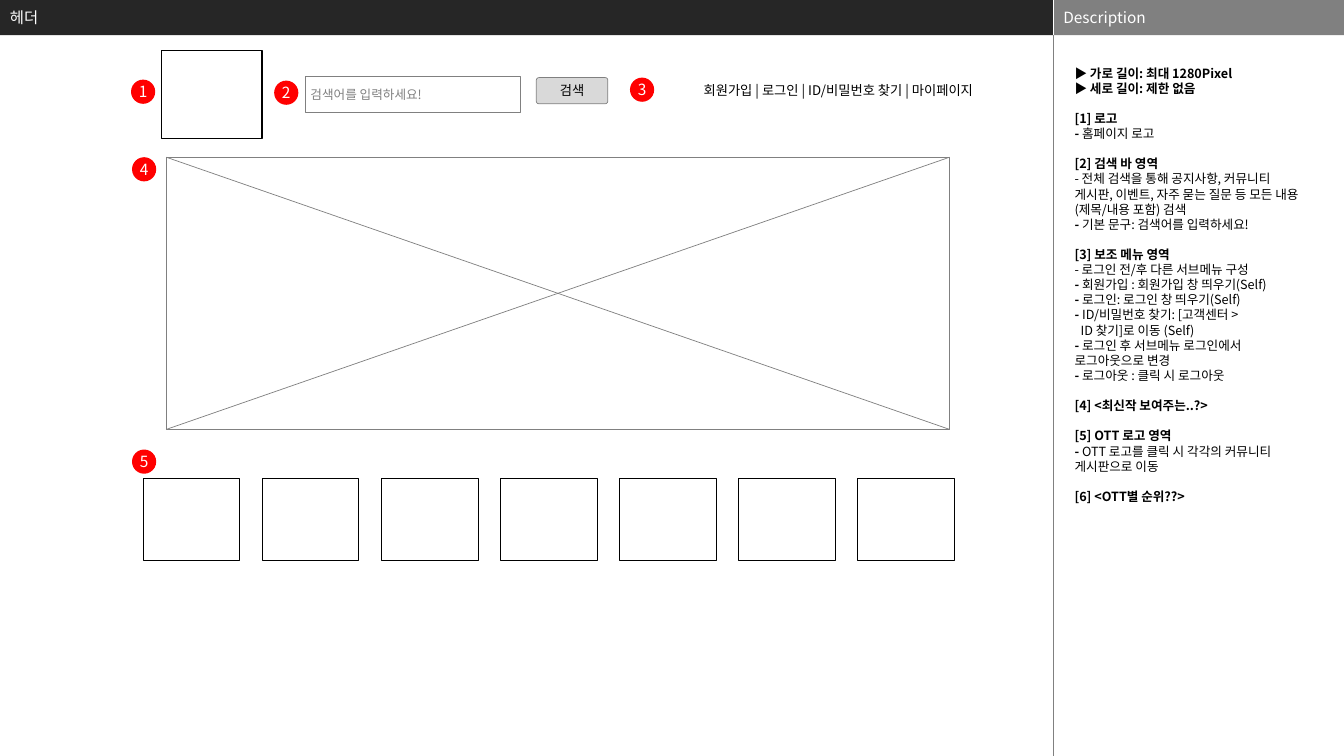
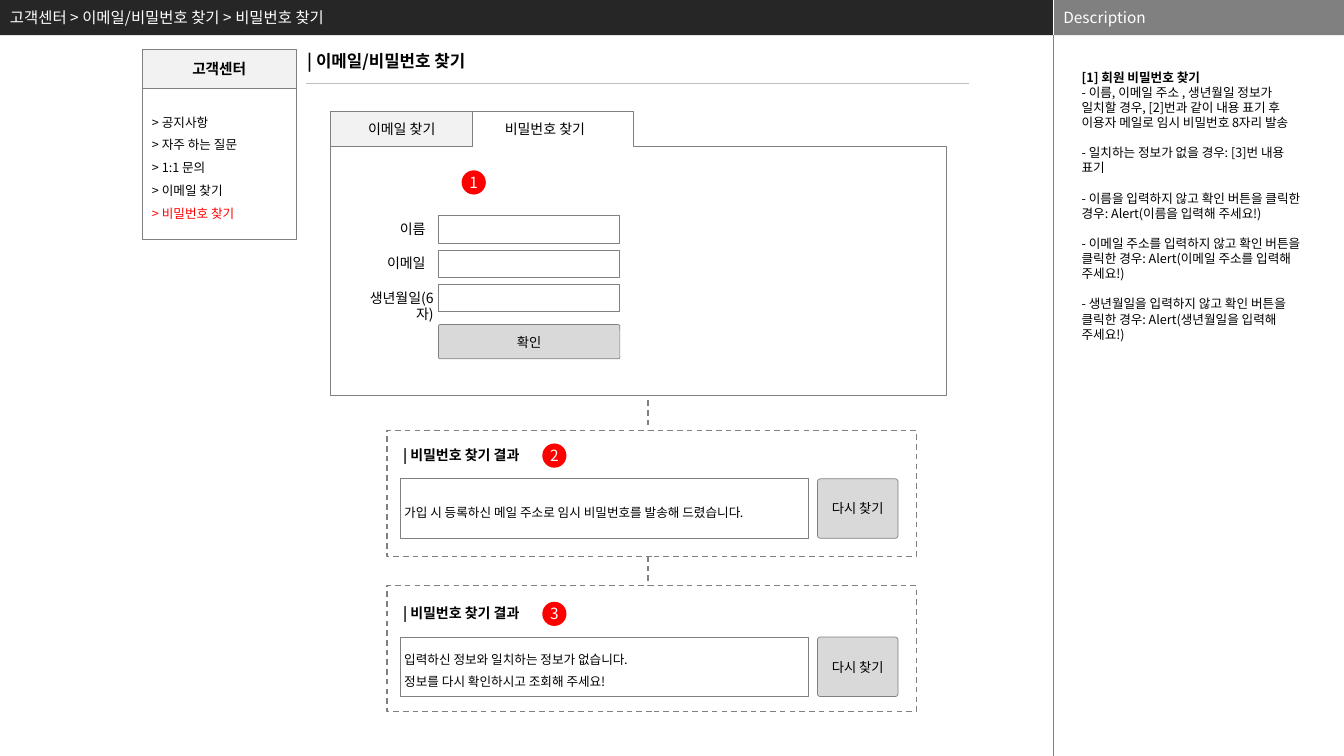
from lxml import etree
from pptx import Presentation
from pptx.dml.color import RGBColor
from pptx.enum.dml import MSO_LINE
from pptx.enum.shapes import MSO_CONNECTOR, MSO_SHAPE
from pptx.enum.text import MSO_ANCHOR, PP_ALIGN
from pptx.oxml.ns import qn
from pptx.util import Inches, Pt

RECTANGLE = MSO_SHAPE.RECTANGLE
ROUNDED = MSO_SHAPE.ROUNDED_RECTANGLE
OVAL = MSO_SHAPE.OVAL
STRAIGHT = MSO_CONNECTOR.STRAIGHT
DASH = MSO_LINE.DASH
LEFT, CENTER, RIGHT = PP_ALIGN.LEFT, PP_ALIGN.CENTER, PP_ALIGN.RIGHT
TOP, MIDDLE = MSO_ANCHOR.TOP, MSO_ANCHOR.MIDDLE

WHITE = RGBColor(0xFF, 0xFF, 0xFF)
BLACK = RGBColor(0, 0, 0)
RED = RGBColor(0xFF, 0, 0)
DARK = RGBColor(0x26, 0x26, 0x26)
GRAY = RGBColor(0x80, 0x80, 0x80)
RULE_GRAY = RGBColor(0xBF, 0xBF, 0xBF)
BUTTON_GRAY = RGBColor(0xD9, 0xD9, 0xD9)
TAB_GRAY = RGBColor(0xF2, 0xF2, 0xF2)

FONT = "Noto Sans CJK KR"
LINE_HEIGHT = 1.2

# The slide is a grid of square cells; every position and length counts cells.
CELL = Inches(0.1)
COLUMNS, ROWS = 133.33, 75
BAND_ROWS = 3.5
MAIN_COLUMNS = 104.5
SIDE_COLUMNS = COLUMNS - MAIN_COLUMNS
BADGE = 2.4


def cells(*counts):
    return [round(count * CELL) for count in counts]


def set_values(target, values):
    for name, value in values.items():
        setattr(target, name, value)


def write(shape, paragraphs, size=9, color=BLACK, bold=False, align=LEFT,
          anchor=MIDDLE, spacing=1, insets=(1, 0.5)):
    """Fill a shape with paragraphs: strings, or dicts of runs and layout."""
    frame = shape.text_frame
    side, end = cells(*insets)
    set_values(frame, {"word_wrap": True, "vertical_anchor": anchor,
                       "margin_left": side, "margin_right": side,
                       "margin_top": end, "margin_bottom": end})
    for index, content in enumerate(paragraphs):
        if isinstance(content, str):
            content = {"runs": [(content, {})]}
        para = frame.add_paragraph() if index else frame.paragraphs[0]
        line = Pt(size * LINE_HEIGHT * spacing)
        set_values(para, {"alignment": align, "line_spacing": line})
        if content.get("gap"):
            para.space_before = line
        if "indent" in content:
            para._p.get_or_add_pPr().set("marL", str(cells(content["indent"])[0]))
        for text, changes in content["runs"]:
            span = para.add_run()
            span.text = text
            look = {"size": Pt(size), "bold": bold, "name": FONT, **changes}
            tint = look.pop("color", color)
            set_values(span.font, look)
            span.font.color.rgb = tint
            east_asian = etree.SubElement(span._r.get_or_add_rPr(), qn("a:ea"))
            east_asian.set("typeface", FONT)


def paint(shape, fill=None, line=GRAY, width=0.5, dash=None):
    shape.shadow.inherit = False
    if fill is None:
        shape.fill.background()
    else:
        shape.fill.solid()
        shape.fill.fore_color.rgb = fill
    if line is None:
        shape.line.fill.background()
    else:
        shape.line.color.rgb = line
        set_values(shape.line, {"width": Pt(width), "dash_style": dash})


def add_box(page, at, fill=None, line=GRAY, width=0.5, kind=RECTANGLE,
            roundness=None, dash=None):
    box = page.shapes.add_shape(kind, *cells(*at))
    if roundness is not None:
        box.adjustments[0] = roundness
    paint(box, fill, line, width, dash)
    return box


def add_outline(page, points, fill):
    start, *others = [tuple(cells(*point)) for point in points]
    builder = page.shapes.build_freeform(*start)
    builder.add_line_segments(others, close=True)
    paint(builder.convert_to_shape(), fill)


def add_line(page, start, end, color=GRAY, width=0.5, dash=None):
    line = page.shapes.add_connector(STRAIGHT, *cells(*start, *end))
    line.line.color.rgb = color
    set_values(line.line, {"width": Pt(width), "dash_style": dash})
    etree.SubElement(line._element.spPr, qn("a:effectLst"))


def add_text(page, at, paragraphs, **look):
    write(page.shapes.add_textbox(*cells(*at)), paragraphs, **look)


def add_badge(page, left, top, number):
    badge = add_box(page, (left, top, BADGE, BADGE), RED, None, kind=OVAL)
    write(badge, [str(number)], size=11, color=WHITE, align=CENTER, insets=(0, 0))


def add_button(page, at, label, roundness=0.05):
    button = add_box(page, at, BUTTON_GRAY, kind=ROUNDED, roundness=roundness)
    write(button, [label], size=9.5, align=CENTER, insets=(0.5, 0.5))


def add_crossed_area(page, left, top, columns, rows):
    """Placeholder for an image: a rectangle with both diagonals."""
    right, bottom = left + columns, top + rows
    add_box(page, (left, top, columns, rows), WHITE)
    add_line(page, (left, bottom), (right, top))
    add_line(page, (left, top), (right, bottom))


def heading(text, gap=True):
    return {"runs": [(text, {"bold": True})], "gap": gap}


def item(text, bold_dash=True, gap=False):
    return {"runs": [("- ", {"bold": bold_dash}), (text, {})], "gap": gap}


def add_page(deck, title, description, left, top):
    """Blank slide with both bands, the side rule and the description."""
    page = deck.slides.add_slide(deck.slide_layouts[6])
    bands = [(0, MAIN_COLUMNS, DARK, title),
             (MAIN_COLUMNS, SIDE_COLUMNS, GRAY, "Description")]
    for start, columns, fill, label in bands:
        band = add_box(page, (start, 0, columns, BAND_ROWS), fill, None)
        write(band, [label], size=11, color=WHITE)
    for start, end, color in [(0, BAND_ROWS, WHITE), (BAND_ROWS, ROWS, GRAY)]:
        add_line(page, (MAIN_COLUMNS, start), (MAIN_COLUMNS, end), color, 0.25)
    add_text(page, (left, top, 23.4, 66), description, anchor=TOP, insets=(0.4, 0))
    return page


def build_header_page(deck):
    description = [
        heading("▶ 가로 길이: 최대 1280Pixel", gap=False),
        heading("▶ 세로 길이: 제한 없음", gap=False),
        heading("[1] 로고"),
        item("홈페이지 로고"),
        heading("[2] 검색 바 영역"),
        item("전체 검색을 통해 공지사항, 커뮤니티 게시판, 이벤트, "
             "자주 묻는 질문 등 모든 내용(제목/내용 포함) 검색", bold_dash=False),
        item("기본 문구: 검색어를 입력하세요!"),
        heading("[3] 보조 메뉴 영역"),
        item("로그인 전/후 다른 서브메뉴 구성", bold_dash=False),
        item("회원가입 : 회원가입 창 띄우기(Self)"),
        item("로그인: 로그인 창 띄우기(Self)"),
        item("ID/비밀번호 찾기: [고객센터 >"),
        {"runs": [("ID 찾기]로 이동 (Self)", {})], "indent": 0.6},
        item("로그인 후 서브메뉴 로그인에서 로그아웃으로 변경"),
        item("로그아웃 : 클릭 시 로그아웃"),
        heading("[4] <최신작 보여주는..?>"),
        heading("[5] OTT 로고 영역"),
        item("OTT 로고를 클릭 시 각각의 커뮤니티 게시판으로 이동"),
        heading("[6] <OTT별 순위??>"),
    ]
    page = add_page(deck, "헤더", description, 106.2, 6.5)

    add_box(page, (16, 5, 10, 8.7), WHITE, BLACK, 0.75)
    search = add_box(page, (30.3, 7.6, 21.3, 3.6))
    write(search, ["검색어를 입력하세요!"], color=GRAY, insets=(0.5, 0.5))
    add_button(page, (53.2, 7.7, 7.1, 2.6), "검색", roundness=0.1)
    add_text(page, (64, 6.9, 33.5, 3.1),
             ["회원가입 | 로그인 | ID/비밀번호 찾기 | 마이페이지"],
             size=9.5, align=RIGHT, anchor=TOP, spacing=1.5)
    add_crossed_area(page, 16.5, 15.6, 77.7, 27)

    logo_count, first_left, last_left = 7, 14.2, 85.1
    step = (last_left - first_left) / (logo_count - 1)
    for index in range(logo_count):
        add_box(page, (first_left + index * step, 47.5, 9.6, 8.1),
                WHITE, BLACK, 0.75)

    badges = [(13, 7.9), (27.2, 8), (62.5, 7.7), (13.1, 15.6), (13.1, 44.6)]
    for number, (left, top) in enumerate(badges, 1):
        add_badge(page, left, top, number)


def add_side_menu(page, title, entries, current):
    left, columns = 14.1, 15.3
    menu = add_box(page, (left, 8.8, columns, 14.9))
    write(menu, [{"runs": [(f"> {entry}", {"color": RED if entry == current else BLACK})]}
                 for entry in entries], spacing=1.5)
    top_box = add_box(page, (left, 4.9, columns, 3.9), TAB_GRAY)
    write(top_box, [title], size=10.5, bold=True, align=CENTER)


def add_search_form(page):
    left, tab_right, right = 32.8, 62.8, 93.9
    top, tab_bottom, bottom = 11, 14.5, 39.2
    add_outline(page, [(left, top), (tab_right, top), (tab_right, tab_bottom),
                       (right, tab_bottom), (right, bottom), (left, bottom)], WHITE)
    tab = add_box(page, (left, 11.1, 14.1, 3.4), TAB_GRAY)
    write(tab, ["이메일 찾기"], size=10, align=CENTER)
    add_text(page, (47, 11.1, 14.1, 3.4), ["비밀번호 찾기"], size=10, align=CENTER)

    fields = [("이름", 43.2), ("이메일", 43.2), ("생년월일(6자)", 44)]
    for index, (label, label_right) in enumerate(fields):
        field_top = 21.4 + index * 3.4
        add_box(page, (43.5, field_top, 17.9, 2.7))
        add_text(page, (label_right - 9.7, field_top, 9.7, 2.7), [label],
                 size=10, align=RIGHT, anchor=TOP)
    add_button(page, (43.5, 32.2, 18, 3.4), "확인")
    add_badge(page, 45.8, 16.9, 1)


def add_result(page, panel_top, title_top, number, message):
    add_box(page, (38.4, panel_top, 52.5, 12.5), WHITE, width=1, dash=DASH)
    add_text(page, (39, title_top, 16, 2.7), ["| 비밀번호 찾기 결과"],
             size=10, bold=True, anchor=TOP)
    add_badge(page, 53.8, title_top + 0.2, number)
    message_top = title_top + 3.7
    box = add_box(page, (39.7, message_top, 40.5, 5.9), WHITE)
    write(box, message, spacing=1.5, insets=(0.4, 0.4))
    add_button(page, (81.1, message_top, 8, 5.9), "다시 찾기")


def build_password_page(deck):
    description = [
        heading("[1] 회원 비밀번호 찾기", gap=False),
        item("이름, 이메일 주소 , 생년월일 정보가 일치할 경우, [2]번과 같이 "
             "내용 표기 후 이용자 메일로 임시 비밀번호 8자리 발송", bold_dash=False),
    ]
    description += [item(text, bold_dash=False, gap=True) for text in (
        "일치하는 정보가 없을 경우: [3]번 내용 표기",
        "이름을 입력하지 않고 확인 버튼을 클릭한 경우: Alert(이름을 입력해 주세요!)",
        "이메일 주소를 입력하지 않고 확인 버튼을 클릭한 경우: "
        "Alert(이메일 주소를 입력해 주세요!)",
        "생년월일을 입력하지 않고 확인 버튼을 클릭한 경우: "
        "Alert(생년월일을 입력해 주세요!)",
    )]
    page = add_page(deck, "고객센터 > 이메일/비밀번호 찾기 > 비밀번호 찾기",
                    description, 106.9, 6.9)

    add_side_menu(page, "고객센터",
                  ["공지사항", "자주 하는 질문", "1:1 문의", "이메일 찾기", "비밀번호 찾기"],
                  current="비밀번호 찾기")
    add_text(page, (29.5, 4.5, 27.6, 3), ["| 이메일/비밀번호 찾기"],
             size=12, bold=True, anchor=TOP)
    add_line(page, (30.4, 8.3), (96.1, 8.3), RULE_GRAY, 0.75)

    add_line(page, (64.3, 61.5), (64.3, 37.5), width=1, dash=DASH)
    add_search_form(page)
    add_result(page, 42.7, 43.8, 2,
               ["가입 시 등록하신 메일 주소로 임시 비밀번호를 발송해 드렸습니다."])
    add_result(page, 58.1, 59.5, 3,
               ["입력하신 정보와 일치하는 정보가 없습니다.",
                "정보를 다시 확인하시고 조회해 주세요!"])


def main():
    deck = Presentation()
    deck.slide_width, deck.slide_height = cells(COLUMNS, ROWS)
    build_header_page(deck)
    build_password_page(deck)
    deck.save("out.pptx")


if __name__ == "__main__":
    main()
